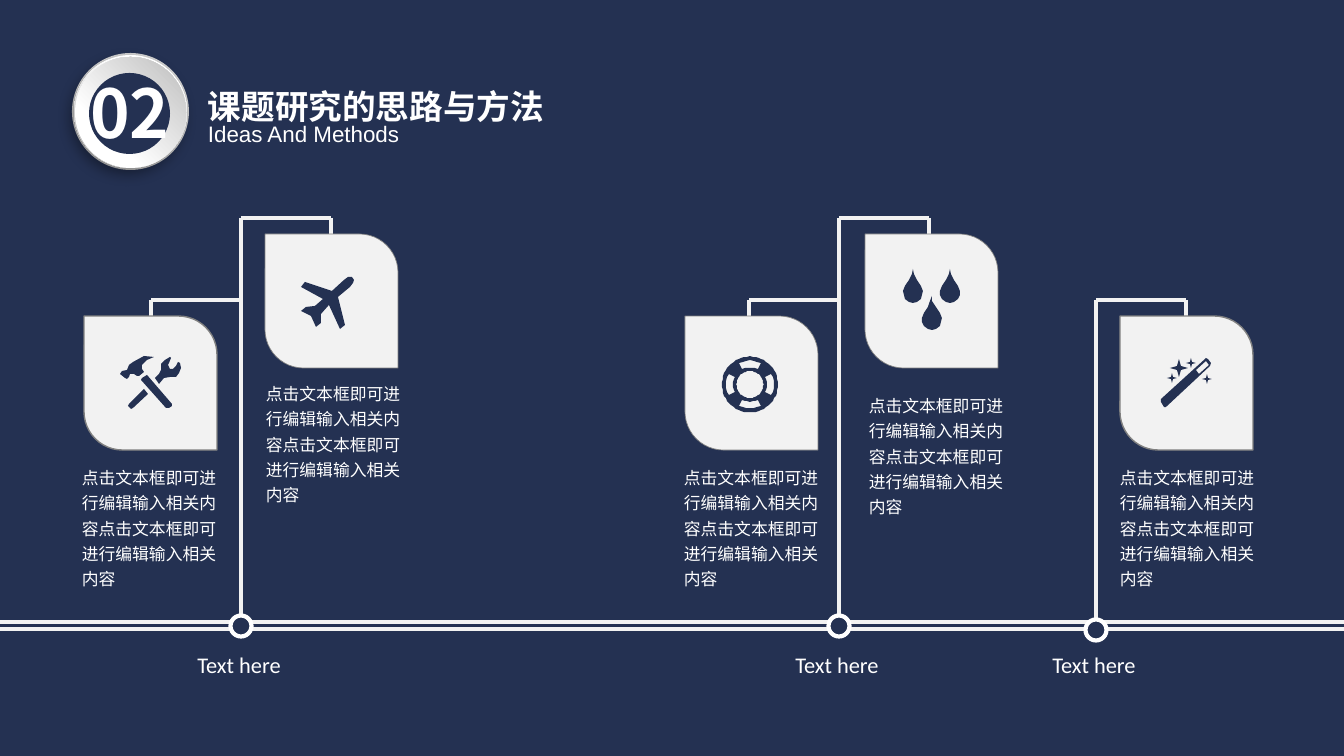
from math import cos, sin, radians
from lxml import etree
from pptx import Presentation
from pptx.dml.color import RGBColor
from pptx.enum.shapes import MSO_CONNECTOR, MSO_SHAPE
from pptx.enum.text import MSO_ANCHOR, PP_ALIGN
from pptx.oxml.ns import qn
from pptx.util import Pt

PX = 914400 / 100.8
COLORS = {name: RGBColor.from_string(value) for name, value in {
    "navy": "243152", "white": "FFFFFF", "card": "F2F2F2", "edge": "808080",
    "rim": "D3D3D3", "bevel": "B8B8B8", "ring": "BFBFBF"}.items()}
CJK = "Noto Sans CJK SC"


def box(*lengths):
    return [round(length * PX) for length in lengths]


def write(shape, text, size, font, bold=False, align=PP_ALIGN.LEFT, spacing=1.0, wrap=True):
    frame = shape.text_frame
    frame.text = text
    frame.word_wrap = wrap
    paragraph = frame.paragraphs[0]
    paragraph.alignment = align
    paragraph.line_spacing = spacing
    run = paragraph.runs[0]
    run.font.size = Pt(size)
    run.font.name = font
    run.font.bold = bold
    run.font.color.rgb = COLORS["white"]
    etree.SubElement(run.font._element, qn("a:ea")).set("typeface", font)


presentation = Presentation()
presentation.slide_width, presentation.slide_height = box(1344, 756)
slide = presentation.slides.add_slide(presentation.slide_layouts[5])
slide.background.fill.solid()
slide.background.fill.fore_color.rgb = COLORS["navy"]
shapes = slide.shapes

title = shapes.title
title.left, title.top, title.width, title.height = box(198, 42, 360, 84)
write(title, "课题研究的思路与方法", 24, CJK, bold=True, wrap=False)
title.text_frame.vertical_anchor = MSO_ANCHOR.BOTTOM
title.text_frame.margin_left = box(10)[0]
title.text_frame.margin_bottom = 0
write(shapes.add_textbox(*box(198, 115, 553, 37)), "Ideas And Methods", 16, "Arial")

badge = []
for left, top, size, color in [(72, 53, 117, "rim"), (74, 55, 113, "bevel"),
                               (75, 57, 111, "ring"), (89, 73, 81, "navy")]:
    disc = shapes.add_shape(MSO_SHAPE.OVAL, *box(left, top, size, size))
    disc.shadow.inherit = False
    disc.fill.solid()
    disc.fill.fore_color.rgb = COLORS[color]
    disc.line.fill.background()
    badge.append(disc)
for disc, angle, start, end, color in [(badge[1], 253, 0.17, 0.88, "bevel"),
                                       (badge[2], 45, 0.29, 0.98, "ring")]:
    disc.fill.gradient()
    disc.fill.gradient_angle = angle
    for stop, position, shade in zip(disc.fill.gradient_stops, (start, end), ("white", color)):
        stop.position = position
        stop.color.rgb = COLORS[shade]
effects = badge[1]._element.spPr.find(qn("a:effectLst"))
shadow = etree.SubElement(effects, qn("a:outerShdw"), blurRad=str(Pt(10)), dist=str(Pt(5)),
                          dir=str(123 * 60000), algn="ctr", rotWithShape="0")
shadow_color = etree.SubElement(shadow, qn("a:srgbClr"), val="000000")
etree.SubElement(shadow_color, qn("a:alpha"), val="39000")
write(shapes.add_textbox(*box(60, 66, 140, 92)), "02", 48, CJK, bold=True, align=PP_ALIGN.CENTER)

hammer = [(130, 374), (134, 374), (137, 376), (139, 376), (144, 372), (142, 369), (142, 365),
          (147, 360), (154, 357), (144, 356), (133, 362), (129, 365), (127, 370), (122, 371),
          (120, 374), (125, 378), (127, 379), (129, 377)]
hammer_handle = [(147, 375), (142, 378), (141, 380), (166, 408), (169, 408), (172, 406), (172, 404)]
wrench = [(180, 363), (178, 362), (176, 366), (173, 369), (170, 369), (168, 365), (169, 363),
          (171, 358), (170, 357), (165, 360), (161, 364), (161, 370), (159, 374), (155, 378),
          (159, 384), (164, 378), (170, 377), (176, 377), (179, 373), (181, 368)]
wrench_handle = [(129, 404), (128, 406), (131, 409), (133, 408), (148, 394), (144, 389)]
plane = [(340, 329), (345, 325), (338, 297), (350, 287), (353, 283), (354, 280), (352, 277),
         (348, 277), (344, 280), (332, 291), (305, 282), (301, 287), (323, 299), (315, 306),
         (306, 307), (301, 311), (311, 316), (316, 327), (321, 323), (321, 314), (329, 305)]

lifebuoy = [[(750 + radius * cos(radians(angle)), 384.5 + radius * sin(radians(angle)))
             for angle in range(0, 360, 6)] for radius in (28, 13.5)]
for middle in (0, 90, 180, 270):
    arc = [(24, middle + step) for step in range(-27, 28, 9)]
    arc += [(17, middle + step) for step in range(27, -28, -9)]
    lifebuoy.append([(750 + radius * cos(radians(angle)), 384.5 + radius * sin(radians(angle)))
                     for radius, angle in arc])

drop_half = [(0, 0), (1, 5), (4, 11), (8, 17), (10, 22), (9.5, 26), (8, 30), (4, 33), (0, 34)]
drop = drop_half + [(-x, y) for x, y in drop_half[-2:0:-1]]
drops = [[(left + x, top + y) for x, y in drop] for left, top in [(913, 269), (950, 269), (931.5, 296)]]

wand = [[(1205, 359), (1206, 358), (1208, 359), (1211, 363), (1210, 366), (1166, 407),
         (1164, 407), (1161, 402), (1161, 399)],
        [(1209, 365), (1206, 361), (1196, 370), (1199, 374)]]
for x, y, reach in [(1172, 378, 5), (1179, 368, 9), (1191, 363, 5), (1207, 379, 5)]:
    wand.append([(x + radius * cos(radians(45 * turn)), y + radius * sin(radians(45 * turn)))
                 for turn, radius in enumerate([reach, reach * 0.35] * 4)])

cards = [(84, 316, 241, -1, 72, 458, 1, [hammer, hammer_handle, wrench, wrench_handle]),
         (265, 234, 241, 1, 256, 374, 0.5, [plane]),
         (685, 316, 839, -1, 674, 458, 0.5, lifebuoy),
         (865, 234, 839, 1, 859, 386, 0.5, drops),
         (1120, 316, 1096, 1, 1110, 458, 1, wand)]
stems = [(241, 218, 626), (839, 218, 626), (1096, 300, 630)]

lines = [(0, y, 1344, y) for y in (622, 629)]
lines += [(x, top, x, node - 10) for x, top, node in stems]
for left, top, stem, side, *rest in cards:
    branch, end = top - 16, stem + side * 90
    lines += [(stem, branch, end, branch), (end, branch, end, top)]
for ends in lines:
    line = shapes.add_connector(MSO_CONNECTOR.STRAIGHT, *box(*ends))
    line.line.color.rgb = COLORS["card"]
    line.line.width = Pt(2.25)
    etree.SubElement(line._element.spPr, qn("a:effectLst"))

for x, top, y in stems:
    node = shapes.add_shape(MSO_SHAPE.OVAL, *box(x - 10.5, y - 10.5, 21, 21))
    node.shadow.inherit = False
    node.fill.solid()
    node.fill.fore_color.rgb = COLORS["navy"]
    node.line.color.rgb = COLORS["white"]
    node.line.width = Pt(3)
    label = shapes.add_textbox(*box(x - 51, 646, 98, 37))
    write(label, "Text here ", 16, "Calibri", align=PP_ALIGN.CENTER, wrap=False)
    frame = label.text_frame
    frame.margin_left = frame.margin_right = frame.margin_top = frame.margin_bottom = box(5)[0]

for left, top, stem, side, text_left, text_top, edge, icon in cards:
    card = shapes.add_shape(MSO_SHAPE.ROUND_2_DIAG_RECTANGLE, *box(left, top, 133, 134))
    card.adjustments[0], card.adjustments[1] = 0, 0.29
    card.shadow.inherit = False
    card.fill.solid()
    card.fill.fore_color.rgb = COLORS["card"]
    card.line.color.rgb = COLORS["edge"]
    card.line.width = Pt(edge)

    builder = shapes.build_freeform(*icon[0][0], scale=PX)
    for index, outline in enumerate(icon):
        if index:
            builder.move_to(*outline[0])
        builder.add_line_segments(outline[1:], close=True)
    symbol = builder.convert_to_shape()
    symbol.shadow.inherit = False
    symbol.fill.solid()
    symbol.fill.fore_color.rgb = COLORS["navy"]
    symbol.line.fill.background()

    write(shapes.add_textbox(*box(text_left, text_top, 160, 137)),
          "点击文本框即可进行编辑输入相关内容" * 2, 12, CJK, spacing=1.25)

presentation.save("out.pptx")
